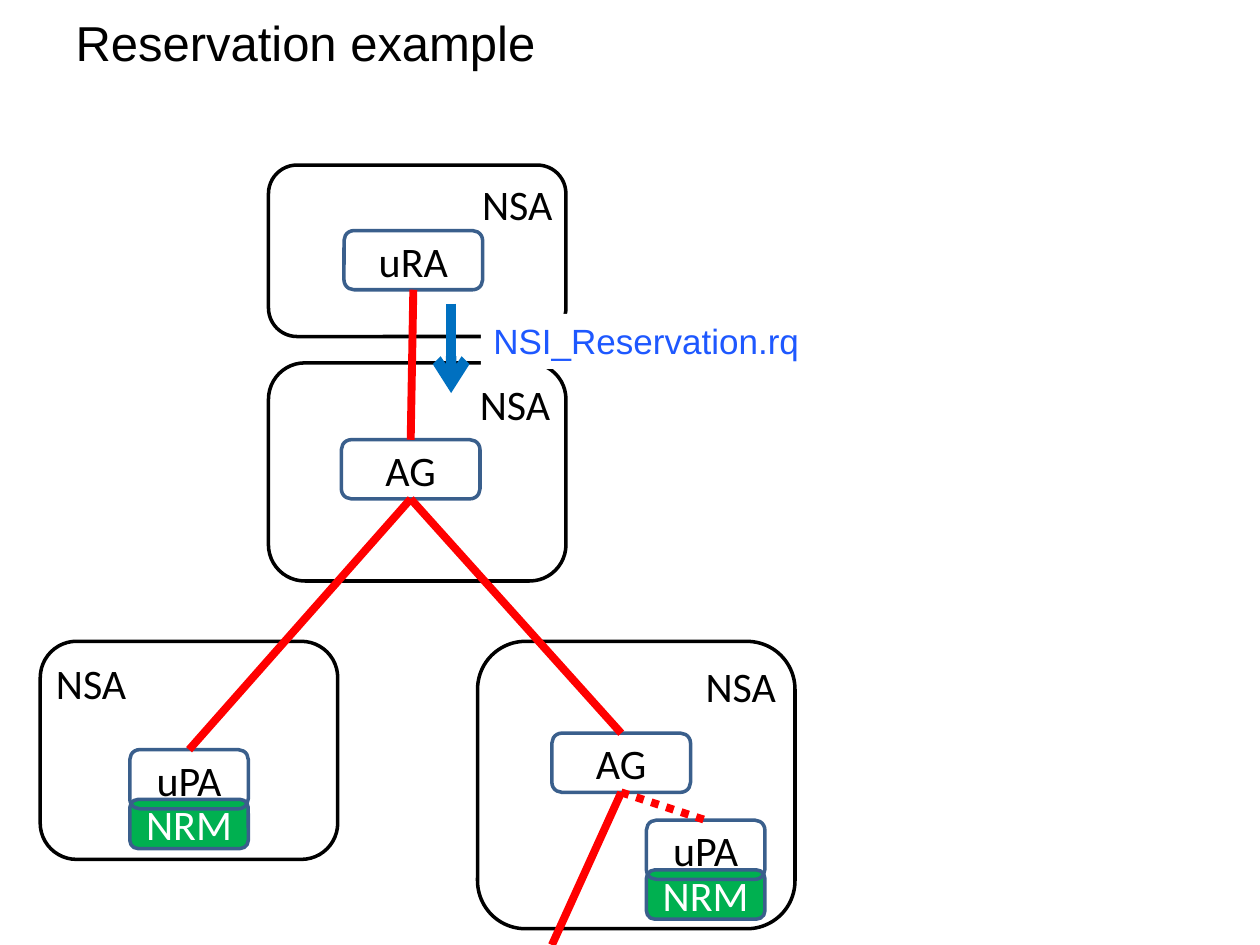
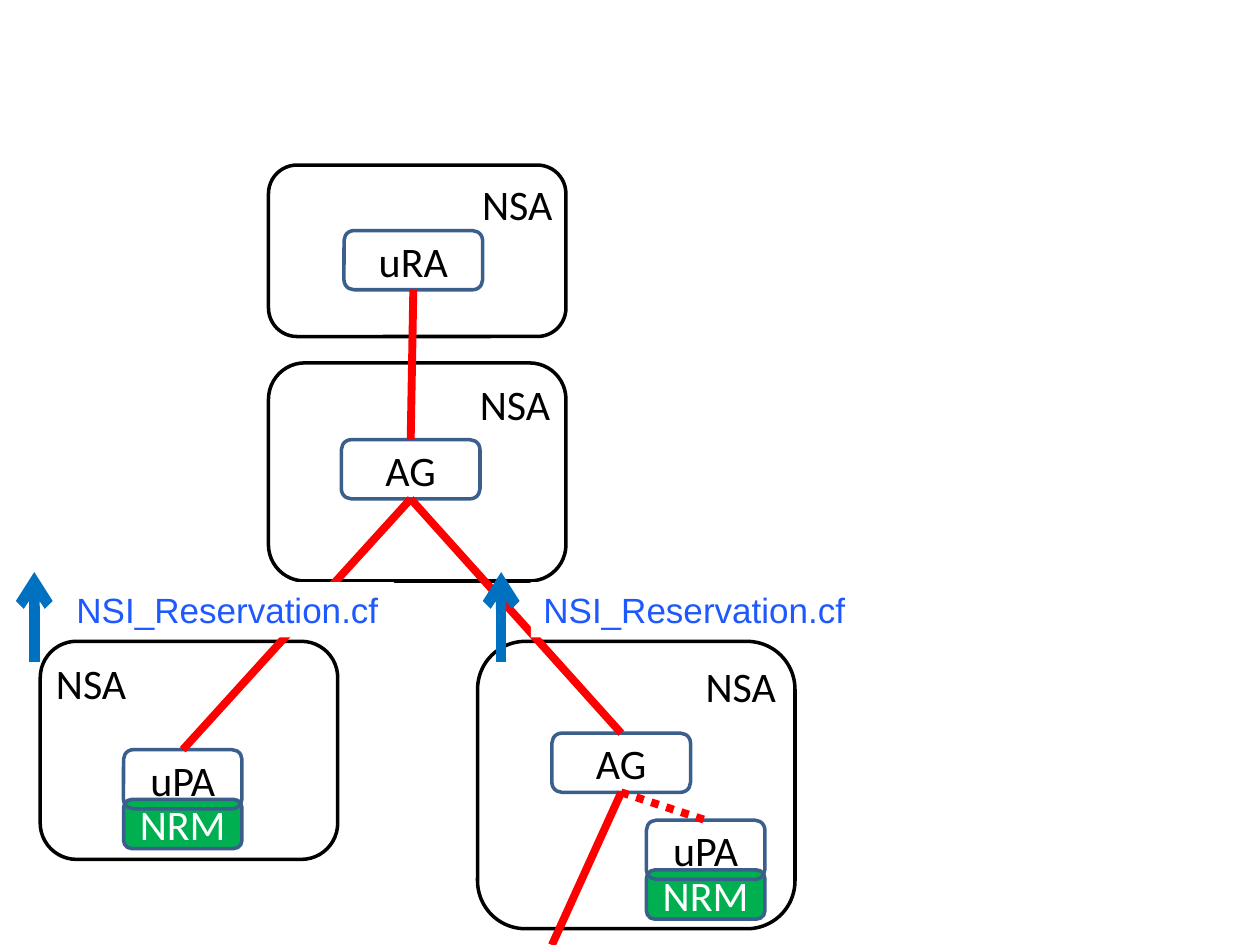
import pptx
import pptx.dml.color
import pptx.enum.dml
import pptx.enum.shapes
import pptx.enum.text
import pptx.oxml.ns
import pptx.util
from lxml import etree

Pt = pptx.util.Pt
Shape = pptx.enum.shapes.MSO_SHAPE
Align = pptx.enum.text.PP_ALIGN
Anchor = pptx.enum.text.MSO_ANCHOR
qn = pptx.oxml.ns.qn

BLACK, WHITE = "000000", "FFFFFF"
AGENT_EDGE, RESOURCE_GREEN = "3A5F8C", "00B050"
LINK_RED, ARROW_BLUE, MESSAGE_BLUE = "FF0000", "0070C0", "1E58FF"

TOP, BOTTOM = 0, 2  # connection sites of a rounded rectangle
AGENT_HEIGHT = 33.8
AGGREGATOR_WIDTH, PROVIDER_WIDTH = 79.2, 67.7


def rgb(hex_color):
    return pptx.dml.color.RGBColor.from_string(hex_color)


def set_all(target, values):
    for name, value in values.items():
        setattr(target, name, value)


def write(shape, text, size, font, color, align=Align.LEFT, **frame_format):
    frame = shape.text_frame
    set_all(frame, frame_format)
    frame.text = text
    paragraph = frame.paragraphs[0]
    set_all(paragraph, {"alignment": align, "space_before": Pt(0)})
    set_all(paragraph.font, {"size": Pt(size), "name": font})
    paragraph.font.color.rgb = rgb(color)


def add_node(slide, text, left, top, width, height, edge=AGENT_EDGE, fill=None,
             color=BLACK, align=Align.CENTER, anchor=Anchor.MIDDLE):
    """Add a labelled rounded box."""
    node = slide.shapes.add_shape(Shape.ROUNDED_RECTANGLE, Pt(left), Pt(top), Pt(width), Pt(height))
    node.shadow.inherit = False
    if fill:
        node.fill.solid()
        node.fill.fore_color.rgb = rgb(fill)
    else:
        node.fill.background()
    node.line.color.rgb = rgb(edge)
    node.line.width = Pt(2)
    margins = {f"margin_{side}": Pt(2.9) for side in ("left", "top", "right", "bottom")}
    write(node, text, 24, "Calibri", color, align,
          vertical_anchor=anchor, word_wrap=True, **margins)
    return node


def add_nsa(slide, left, top, width, height, align=Align.RIGHT):
    add_node(slide, "NSA", left, top, width, height, edge=BLACK, align=align, anchor=Anchor.TOP)


def add_provider(slide, left, top):
    """Add an uPA agent overlapping the NRM below it."""
    add_node(slide, "NRM", left, top + 28.4, PROVIDER_WIDTH, 28.1, fill=RESOURCE_GREEN, color=WHITE)
    return add_node(slide, "uPA", left, top, PROVIDER_WIDTH, AGENT_HEIGHT)


def add_line(shapes, start, end, color, width):
    line = shapes.add_connector(pptx.enum.shapes.MSO_CONNECTOR.STRAIGHT,
                                Pt(start[0]), Pt(start[1]), Pt(end[0]), Pt(end[1]))
    line.line.color.rgb = rgb(color)
    line.line.width = Pt(width)
    etree.SubElement(line.element.spPr, qn("a:effectLst"))
    return line


def add_link(slide, upper, lower=None, end=(0, 0), dotted=False):
    """Link the bottom of one agent to the top of another, or to a free end."""
    link = add_line(slide.shapes, (0, 0), end, LINK_RED, 4.5)
    link.begin_connect(upper, BOTTOM)
    if lower is not None:
        link.end_connect(lower, TOP)
    if dotted:
        link.line.dash_style = pptx.enum.dml.MSO_LINE.ROUND_DOT


def add_message(slide, text, x, top, width, upward=False):
    """Add a vertical arrow with the message name at its right."""
    shapes = slide.shapes.add_group_shape().shapes
    start, end = (x, top), (x, top + 51.1)
    if upward:
        start, end = end, start
    arrow = add_line(shapes, start, end, ARROW_BLUE, 6)
    etree.SubElement(arrow.line._get_or_add_ln(), qn("a:tailEnd"), type="arrow")
    label = shapes.add_textbox(Pt(x + 17), Pt(top + 5.8), Pt(width), Pt(31.5))
    label.fill.solid()
    label.fill.fore_color.rgb = rgb(WHITE)
    write(label, text, 20, "Arial", MESSAGE_BLUE, word_wrap=False,
          auto_size=pptx.enum.text.MSO_AUTO_SIZE.SHAPE_TO_FIT_TEXT)


def add_title(slide, text):
    title = slide.shapes.title
    set_all(title, {"left": Pt(36), "top": Pt(3.6), "width": Pt(648), "height": Pt(67.7)})
    write(title, text, 28, "Arial", BLACK, vertical_anchor=Anchor.TOP, word_wrap=True,
          auto_size=pptx.enum.text.MSO_AUTO_SIZE.NONE)


def add_agent_tree(slide, left_provider_x):
    add_nsa(slide, 153.4, 94.3, 170, 98)
    add_nsa(slide, 153.4, 207.4, 170, 124.6)
    add_nsa(slide, 23, 366.5, 170, 124.6, Align.LEFT)
    add_nsa(slide, 272.9, 366.5, 181.4, 164.2)

    right_provider = add_provider(slide, 369.4, 468.7)
    left_provider = add_provider(slide, left_provider_x, 428.4)
    requester, aggregator, right_aggregator = (
        add_node(slide, text, left, top, AGGREGATOR_WIDTH, AGENT_HEIGHT)
        for text, left, top in (("uRA", 196.6, 131.8), ("AG", 195.1, 251.3), ("AG", 315.4, 419)))

    add_link(slide, requester, aggregator)
    add_link(slide, aggregator, left_provider)
    add_link(slide, aggregator, right_aggregator)
    add_link(slide, right_aggregator, end=(315.4, 540))
    add_link(slide, right_aggregator, right_provider, dotted=True)


def main():
    deck = pptx.Presentation()
    set_all(deck, {"slide_width": Pt(720), "slide_height": Pt(540)})
    title_only, blank = deck.slide_layouts[5], deck.slide_layouts[6]

    request = deck.slides.add_slide(title_only)
    add_title(request, "Reservation example")
    add_agent_tree(request, 74.2)
    add_message(request, "NSI_Reservation.rq", 257.8, 173.5, 190.8)

    confirmation = deck.slides.add_slide(blank)
    add_agent_tree(confirmation, 70.6)
    for x in (19.6, 286.4):
        add_message(confirmation, "NSI_Reservation.cf", x, 326.9, 188.6, upward=True)

    deck.save("out.pptx")


if __name__ == "__main__":
    main()
